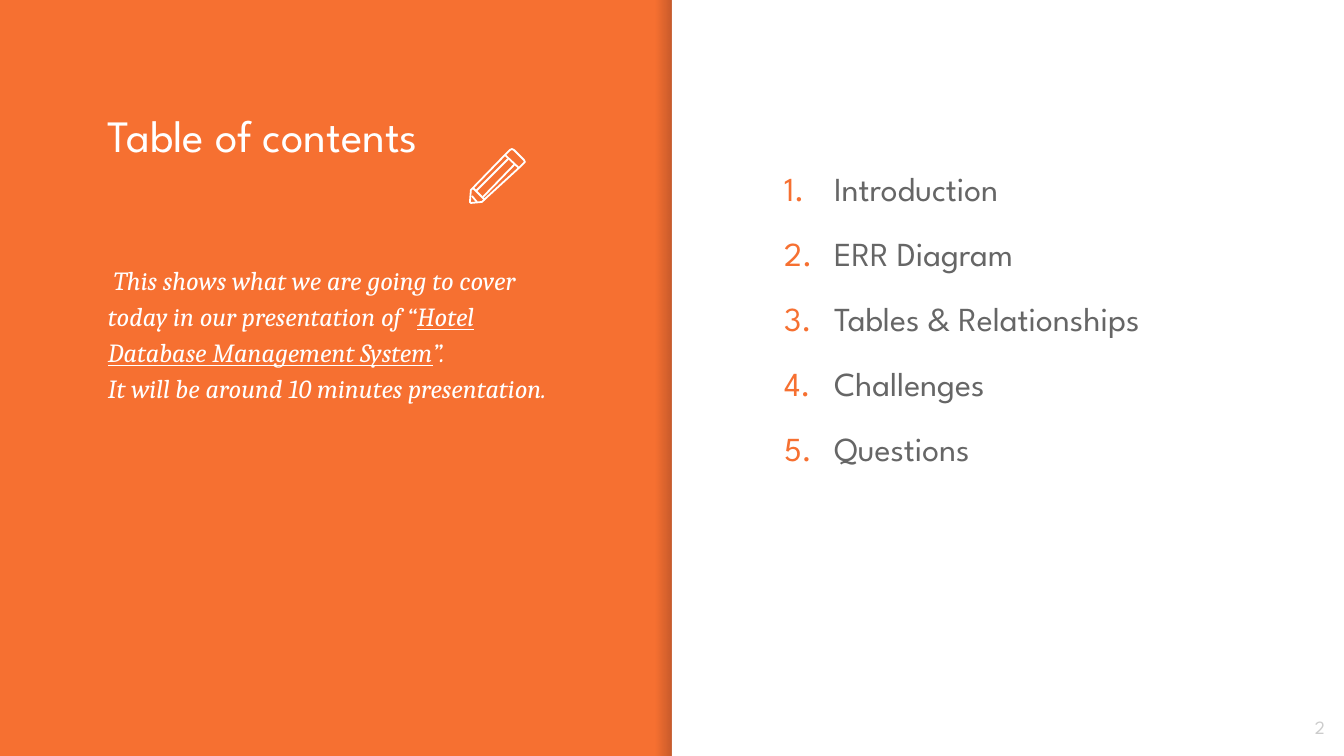
import pptx
import pptx.dml.color
import pptx.enum.shapes
import pptx.enum.text
import pptx.oxml
import pptx.oxml.ns
import pptx.util

RGBColor = pptx.dml.color.RGBColor
ORANGE = RGBColor(0xF6, 0x70, 0x31)
WHITE = RGBColor(0xFF, 0xFF, 0xFF)
GRAY = RGBColor(0x66, 0x66, 0x66)
LIGHT_GRAY = RGBColor(0xCC, 0xCC, 0xCC)
SHADE = RGBColor(0x00, 0x00, 0x14)

PX = 914400 / 134.4
WIDTH, HEIGHT = 1344, 756
MIDDLE = WIDTH // 2
INSET = 13
SANS, SERIF = "League Spartan", "Cambria"

TOPICS = ["Introduction", "ERR Diagram", "Tables & Relationships",
          "Challenges", "Questions"]

PENCIL_CAP = [(524, 160), (514, 150), (512, 149), (510, 150), (505, 155),
              (519, 168), (524, 163), (525, 162)]
PENCIL_STROKES = [
    [(515, 164), (483, 197)],
    [(505, 155), (473, 188), (471, 190), (470, 202), (471, 203),
     (482, 202), (484, 200), (519, 168)],
    [(476, 191), (508, 159)],
    [(477, 202), (472, 196)],
    [(473, 188), (485, 200)],
]


def emu(px):
    return pptx.util.Emu(round(px * PX))


def add_panel(page, left, width):
    panel = page.shapes.add_shape(
        pptx.enum.shapes.MSO_SHAPE.RECTANGLE,
        emu(left), 0, emu(width), emu(HEIGHT))
    panel.shadow.inherit = False
    panel.line.fill.background()
    return panel


def fade_in(panel, color, opacity):
    """Fill from clear at the left to the given opacity at the right."""
    panel.fill.gradient()
    panel.fill.gradient_angle = 0
    for stop, percent in zip(panel.fill.gradient_stops, (0, opacity)):
        stop.color.rgb = color
    for node, percent in zip(
            panel._element.spPr.iter(pptx.oxml.ns.qn("a:srgbClr")),
            (0, opacity)):
        alpha = pptx.oxml.parse_xml(
            f'<a:alpha {pptx.oxml.ns.nsdecls("a")} val="{percent * 1000}"/>')
        node.append(alpha)


def number_paragraph(para, color):
    properties = para._p.get_or_add_pPr()
    properties.set("marL", str(emu(67)))
    properties.set("indent", str(emu(-50)))
    names = pptx.oxml.ns.nsdecls("a")
    for xml in (f'<a:buClr {names}><a:srgbClr val="{color}"/></a:buClr>',
                f'<a:buFont {names} typeface="{SANS}"/>',
                f'<a:buAutoNum {names} type="arabicPeriod"/>'):
        properties.append(pptx.oxml.parse_xml(xml))


def add_text(page, paragraphs, left, top, width, height, *, size, font, color,
             italic=False, spacing=1.0, gap=0, align=None, anchor=None,
             number_color=None):
    """Each paragraph is a list of (words, underlined) spans."""
    box = page.shapes.add_textbox(emu(left), emu(top), emu(width), emu(height))
    frame = box.text_frame
    frame.word_wrap = True
    frame.margin_left = frame.margin_right = emu(INSET)
    frame.margin_top = frame.margin_bottom = emu(INSET)
    if anchor is not None:
        frame.vertical_anchor = anchor
    for index, spans in enumerate(paragraphs):
        para = frame.add_paragraph() if index else frame.paragraphs[0]
        para.line_spacing = spacing
        para.space_before = pptx.util.Pt(gap if index else 0)
        if align is not None:
            para.alignment = align
        if number_color is not None:
            number_paragraph(para, number_color)
        for words, underlined in spans:
            span = para.add_run()
            span.text = words
            span.font.size = pptx.util.Pt(size)
            span.font.name = font
            span.font.color.rgb = color
            span.font.italic = italic
            span.font.underline = underlined
    return box


def add_stroke(group, points, close=False):
    builder = group.shapes.build_freeform(*points[0], scale=PX)
    builder.add_line_segments(points[1:], close=close)
    stroke = builder.convert_to_shape()
    stroke.shadow.inherit = False
    stroke.fill.background()
    stroke.line.color.rgb = WHITE
    stroke.line.width = pptx.util.Pt(0.96)


def add_pencil(page):
    group = page.shapes.add_group_shape()
    add_stroke(group, PENCIL_CAP, close=True)
    for points in PENCIL_STROKES:
        add_stroke(group, points)


def main():
    deck = pptx.Presentation()
    deck.slide_width, deck.slide_height = emu(WIDTH), emu(HEIGHT)
    page = deck.slides.add_slide(deck.slide_layouts[6])

    # Orange page with a white right half and a soft fold
    page.background.fill.solid()
    page.background.fill.fore_color.rgb = ORANGE
    sheet = add_panel(page, MIDDLE, MIDDLE)
    sheet.fill.solid()
    sheet.fill.fore_color.rgb = WHITE
    fade_in(add_panel(page, MIDDLE - 17, 17), SHADE, 20)

    # Description
    add_text(page, [
        [(" This shows what we are going to cover today in our "
          "presentation of “", False),
         ("Hotel Database Management System", True), ("”.", False)],
        [("It will be around 10 minutes presentation.", False)],
    ], 95, 247, 477, 313, size=14, font=SERIF, color=WHITE, italic=True,
        spacing=1.15)

    # Page number
    add_text(page, [[("2", False)]], 1258, 698, 80, 58, size=10, font=SANS,
             color=LIGHT_GRAY, align=pptx.enum.text.PP_ALIGN.RIGHT,
             anchor=pptx.enum.text.MSO_ANCHOR.MIDDLE)

    # Numbered topics
    add_text(page, [[(topic, False)] for topic in TOPICS], 754, 149, 511, 517,
             size=18, font=SANS, color=GRAY, spacing=1.15, gap=10,
             number_color=ORANGE)

    # Title and pencil
    add_text(page, [[("Table of contents", False)]], 95, 95, 477, 142,
             size=24, font=SANS, color=WHITE)
    add_pencil(page)

    deck.save("out.pptx")


if __name__ == "__main__":
    main()
